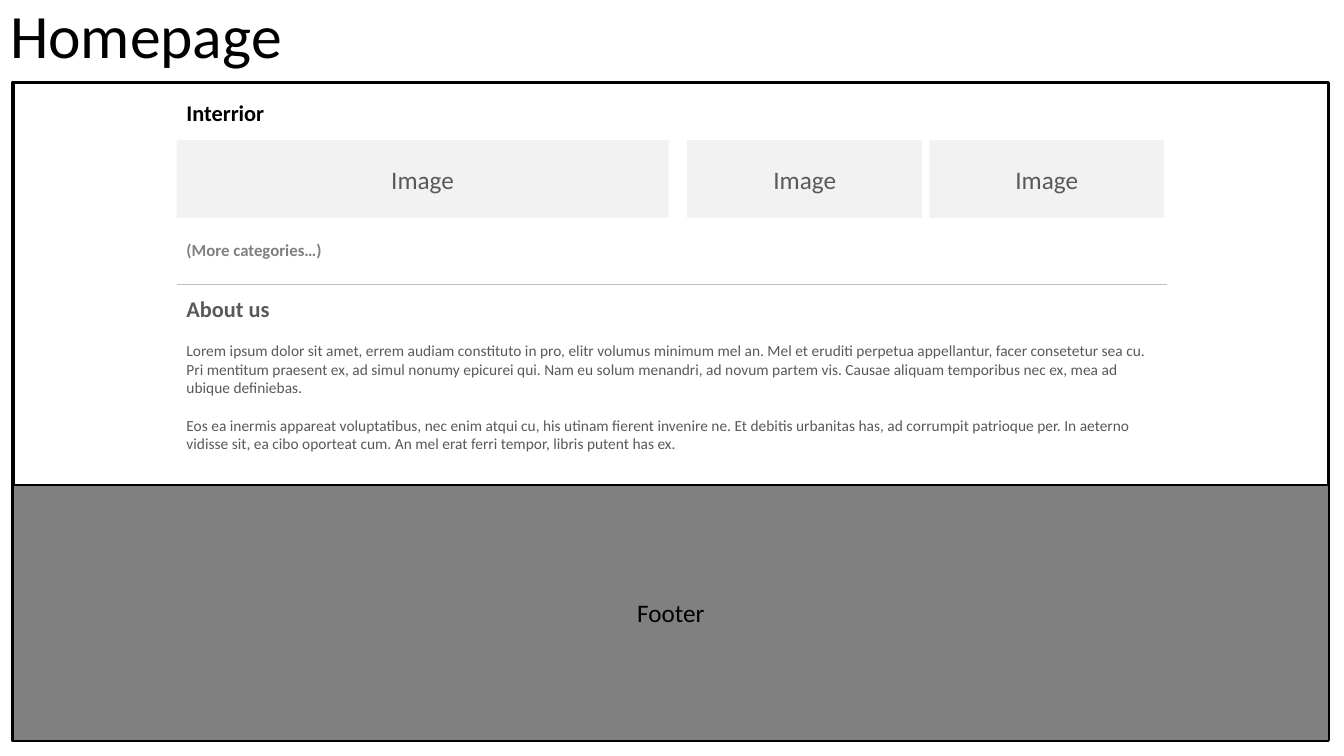
from collections import namedtuple

from lxml.etree import SubElement
from pptx import Presentation
from pptx.dml.color import RGBColor
from pptx.enum.shapes import MSO_CONNECTOR, MSO_SHAPE
from pptx.enum.text import MSO_ANCHOR, PP_ALIGN
from pptx.oxml.ns import qn
from pptx.util import Cm, Pt

# Lengths in centimetres
Box = namedtuple("Box", "left top width height")


class Theme:
    font = "Calibri"
    black = RGBColor(0x00, 0x00, 0x00)
    white = RGBColor(0xFF, 0xFF, 0xFF)
    dark_gray = RGBColor(0x59, 0x59, 0x59)
    gray = RGBColor(0x80, 0x80, 0x80)
    rule_gray = RGBColor(0xBF, 0xBF, 0xBF)
    light_gray = RGBColor(0xF2, 0xF2, 0xF2)
    title = dict(size=Pt(44), color=black, bold=False)
    heading = dict(size=Pt(16), color=black, bold=True)
    subheading = dict(size=Pt(16), color=dark_gray, bold=True)
    note = dict(size=Pt(12), color=gray, bold=True)
    label = dict(size=Pt(18), color=dark_gray, bold=False)
    footer = dict(size=Pt(18), color=black, bold=False)
    body = dict(size=Pt(11), color=dark_gray, bold=False)


ABOUT_TEXT = [
    "Lorem ipsum dolor sit amet, errem audiam constituto in pro, elitr volumus "
    "minimum mel an. Mel et eruditi perpetua appellantur, facer consetetur sea cu. "
    "Pri mentitum praesent ex, ad simul nonumy epicurei qui. Nam eu solum menandri, "
    "ad novum partem vis. Causae aliquam temporibus nec ex, mea ad ubique definiebas.",
    "Eos ea inermis appareat voluptatibus, nec enim atqui cu, his utinam fierent "
    "invenire ne. Et debitis urbanitas has, ad corrumpit patrioque per. In aeterno "
    "vidisse sit, ea cibo oporteat cum. An mel erat ferri tempor, libris putent has ex.",
]
HEADING_WIDTH, HEADING_HEIGHT = 7.72, 0.79


def lengths(box):
    return [Cm(value) for value in box]


def write(shape, paragraphs, style, align=PP_ALIGN.LEFT, anchor=MSO_ANCHOR.MIDDLE,
          gap=0, line_spacing=1.0):
    frame = shape.text_frame
    frame.word_wrap = True
    frame.vertical_anchor = anchor
    for index, text in enumerate(paragraphs):
        paragraph = frame.add_paragraph() if index else frame.paragraphs[0]
        paragraph.alignment = align
        paragraph.line_spacing = line_spacing
        paragraph.space_before = Pt(gap if index else 0)
        run = paragraph.add_run()
        run.text = text
        for name, value in dict(name=Theme.font, size=style["size"], bold=style["bold"]).items():
            setattr(run.font, name, value)
        run.font.color.rgb = style["color"]


def add_rectangle(slide, box, fill, line=None, line_width=1):
    shape = slide.shapes.add_shape(MSO_SHAPE.RECTANGLE, *lengths(box))
    shape.shadow.inherit = False
    shape.fill.solid()
    shape.fill.fore_color.rgb = fill
    if line is None:
        shape.line.fill.background()
    else:
        shape.line.color.rgb = line
        shape.line.width = Pt(line_width)
    return shape


def add_heading(slide, left, top, text, style):
    box = Box(left, top, HEADING_WIDTH, HEADING_HEIGHT)
    write(slide.shapes.add_textbox(*lengths(box)), [text], style)


def add_title(slide, box):
    title = slide.shapes.title
    for name, value in zip(Box._fields, lengths(box)):
        setattr(title, name, value)
    write(title, ["Homepage"], Theme.title, anchor=MSO_ANCHOR.TOP, line_spacing=0.9)


def add_category(slide, box):
    add_heading(slide, box.left, box.top, "Interrior", Theme.heading)
    # One wide tile, then two small ones ending at the right edge
    wide, small, small_gap = 12.4, 5.92, 0.18
    last = box.width - small
    for offset, width in [(0, wide), (last - small - small_gap, small), (last, small)]:
        tile_box = Box(box.left + offset, box.top + 1.09, width, 1.96)
        tile = add_rectangle(slide, tile_box, Theme.light_gray)
        write(tile, ["Image"], Theme.label, PP_ALIGN.CENTER)
    add_heading(slide, box.left, box.top + box.height - HEADING_HEIGHT,
                "(More categories…)", Theme.note)


def add_about(slide, box):
    # Divider
    divider = slide.shapes.add_connector(
        MSO_CONNECTOR.STRAIGHT, Cm(box.left), Cm(box.top),
        Cm(box.left + box.width + 0.08), Cm(box.top))
    divider.line.color.rgb = Theme.rule_gray
    divider.line.width = Pt(0.5)
    SubElement(divider.element.spPr, qn("a:effectLst"))
    # Heading and text
    add_heading(slide, box.left, box.top + 0.23, "About us", Theme.subheading)
    body_box = Box(box.left, box.top + 1.27, box.width, box.height - 1.27)
    body = add_rectangle(slide, body_box, Theme.white, Theme.white)
    write(body, ABOUT_TEXT, Theme.body, gap=13.4)


def add_footer(slide, box):
    footer = add_rectangle(slide, box, Theme.gray, Theme.black)
    write(footer, ["Footer"], Theme.footer, PP_ALIGN.CENTER)


def add_homepage(slide, box):
    add_rectangle(slide, box, Theme.white, Theme.black, 2.25)
    left, width = box.left + 4.12, 24.89
    add_category(slide, Box(left, box.top + 0.36, width, 4.24))
    add_about(slide, Box(left, box.top + 5.08, width, 4.42))
    footer_height = 6.45
    add_footer(slide, Box(box.left, box.top + box.height - footer_height,
                          box.width, footer_height))


def main():
    presentation = Presentation()
    presentation.slide_width, presentation.slide_height = Cm(33.87), Cm(19.05)
    slide = presentation.slides.add_slide(presentation.slide_layouts[5])
    add_title(slide, Box(0, 0, 29.21, 2.08))
    add_homepage(slide, Box(0.33, 2.08, 33.15, 16.59))
    presentation.save("out.pptx")


if __name__ == "__main__":
    main()
